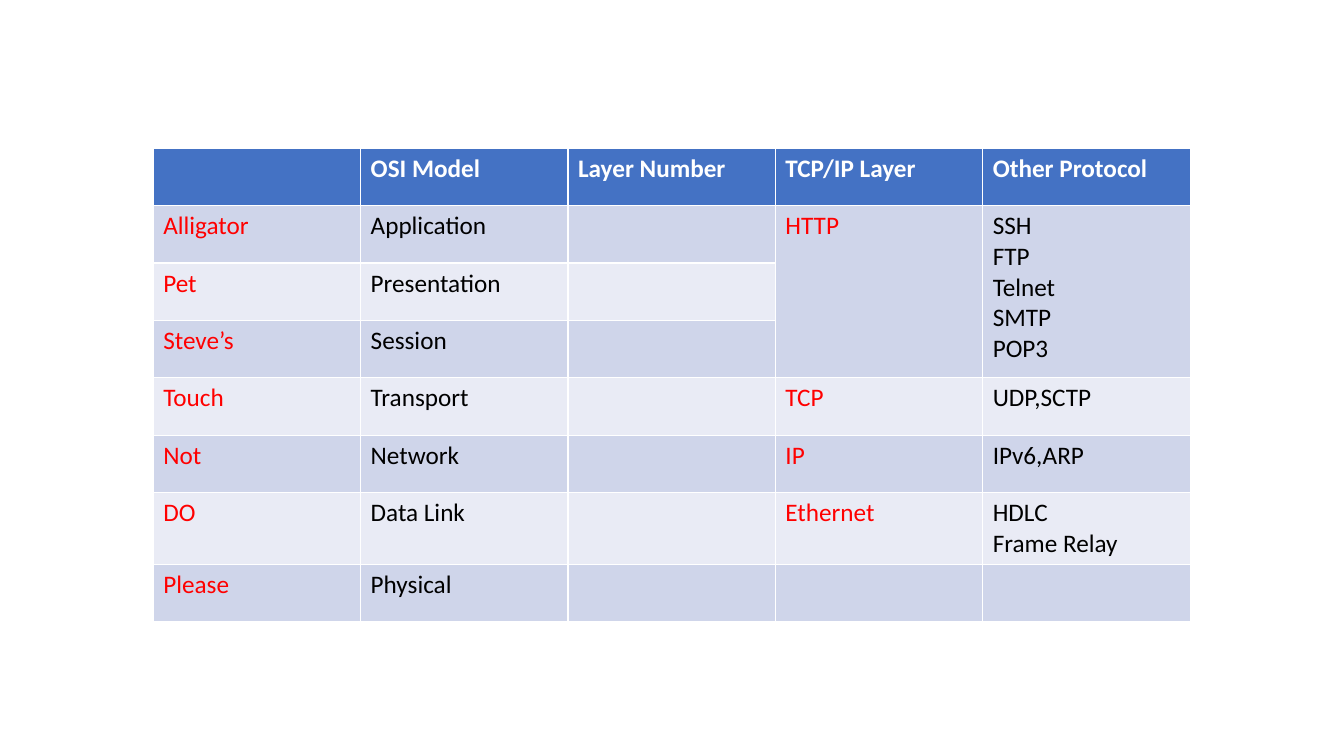
from pptx import Presentation
from pptx.util import Inches, Pt
from pptx.dml.color import RGBColor as Rgb

hues = {"head": "4472C4", "odd": "CFD5EA", "even": "E9EBF5",
        "white": "FFFFFF", "red": "FF0000", "black": "000000"}
rows = [
    ["", "OSI Model", "Layer Number", "TCP/IP Layer", "Other Protocol"],
    ["Alligator", "Application", "", "HTTP", "SSH\nFTP\nTelnet\nSMTP\nPOP3"],
    ["Pet", "Presentation", "", "", ""],
    ["Steve’s", "Session", "", "", ""],
    ["Touch", "Transport", "", "TCP", "UDP,SCTP"],
    ["Not", "Network", "", "IP", "IPv6,ARP"],
    ["DO", "Data Link", "", "Ethernet", "HDLC\nFrame Relay"],
    ["Please", "Physical", "", "", ""],
]
red_cols = (0, 3)
wide, high = 2.057, 0.57

deck = Presentation()
deck.slide_width, deck.slide_height = Inches(13.33), Inches(7.5)
slide = deck.slides.add_slide(deck.slide_layouts[6])
count = len(rows[0])
frame = slide.shapes.add_table(len(rows), count, Inches(1.52), Inches(1.47),
                               Inches(wide * count), Inches(high * len(rows)))
table = frame.table
for col in table.columns:
    col.width = Inches(wide)
for row in table.rows:
    row.height = Inches(high)

for r, row in enumerate(rows):
    band = "head" if r == 0 else "odd" if r % 2 else "even"
    for c, text in enumerate(row):
        cell = table.cell(r, c)
        cell.fill.solid()
        cell.fill.fore_color.rgb = Rgb.from_string(hues[band])
        cell.text = text
        ink = "white" if r == 0 else "red" if c in red_cols else "black"
        for para in cell.text_frame.paragraphs:
            font = para.font
            font.name, font.size, font.bold = "Calibri", Pt(18), r == 0
            font.color.rgb = Rgb.from_string(hues[ink])

for c in (3, 4):
    table.cell(1, c).merge(table.cell(3, c))

deck.save("out.pptx")
